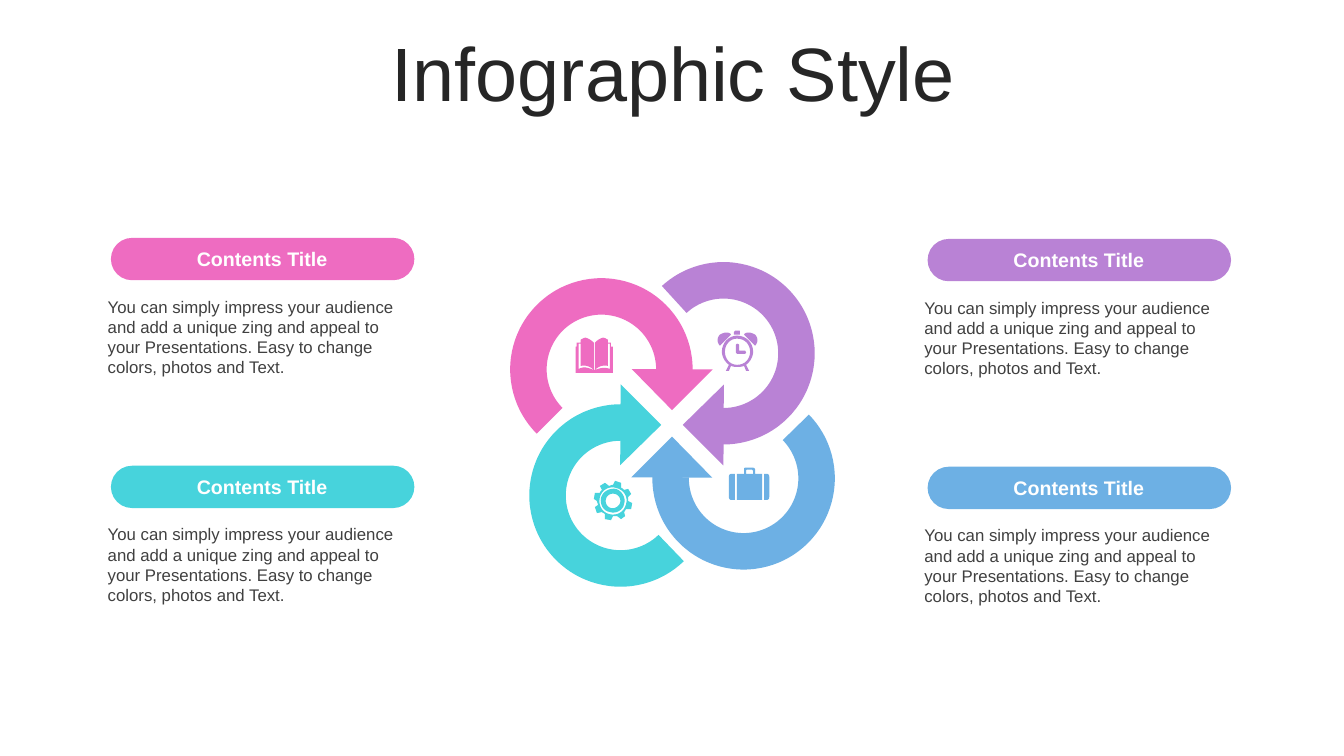
"""Build the four-arrow infographic slide."""
from pptx import Presentation
from pptx.dml.color import RGBColor
from pptx.enum import shapes, text
from pptx.util import Pt

PX = 9144
PINK = RGBColor(0xEE, 0x6C, 0xC1)
PURPLE = RGBColor(0xB9, 0x82, 0xD5)
BLUE = RGBColor(0x6D, 0xB0, 0xE4)
TEAL = RGBColor(0x47, 0xD3, 0xDC)
WHITE = RGBColor(0xFF, 0xFF, 0xFF)
DARK = RGBColor(0x26, 0x26, 0x26)
GREY = RGBColor(0x40, 0x40, 0x40)
FONT = "Arial"

TITLE = "Infographic Style"
LABEL = "Contents Title"
BODY = ("You can simply impress your audience and add a unique zing and appeal to "
        "your Presentations. Easy to change colors, photos and Text.")

CARDS = [(PURPLE, 920, 237), (BLUE, 920, 463), (PINK, 110, 236), (TEAL, 110, 462)]
PILL = (0, 0, 301, 42)
BODY_BOX = (-13, 53, 326, 91)
LABEL_BOX = (9, 4, 282, 34)

ARC_SIZE, HEAD_SIZE = 181, 57
ARROWS = [
    (PINK, (506, 276), (638, 338), 0, 81.13),
    (PURPLE, (627, 260), (689, 393), 90, 82.53),
    (BLUE, (647, 384), (638, 445), 180, 81.4),
    (TEAL, (525, 401), (587, 393), 270, 81.65),
]

CLOCK = (
    """M 731 341 C 732 341 733 342 733 342 L 733 348 L 739 348 C 739 348 740 349 740 350
    C 740 350 739 351 739 351 L 731 351 C 731 351 730 350 730 350 L 730 342
    C 730 342 731 341 731 341""",
    """M 731 336 C 724 336 719 342 719 349 C 719 356 724 362 731 362
    C 739 362 744 356 744 349 C 744 342 739 336 731 336""",
    """M 731 333 C 740 333 747 340 747 349 C 747 354 744 359 740 362 L 743 368 L 740 368
    L 738 363 C 736 364 734 364 731 364 C 729 364 727 364 725 363 L 723 368 L 720 368
    L 723 362 C 719 359 716 354 716 349 C 716 340 723 333 731 333""",
    """M 720 330 C 722 330 724 330 725 332 L 714 343 C 711 340 711 335 714 332
    C 716 331 718 330 720 330""",
    """M 743 330 C 745 330 747 331 749 332 C 752 335 752 340 749 343 L 738 332
    C 739 330 741 330 743 330""",
    """M 730 328 L 733 328 C 734 328 734 329 734 330 L 734 332 L 728 332 L 728 330
    C 728 329 729 328 730 328""",
)
SUITCASE = (
    """M 758 470 L 760 470 C 762 470 763 471 763 473 L 763 493 C 763 495 762 496 760 496
    L 758 496""",
    """M 726 470 L 729 470 L 729 496 L 726 496 C 724 496 723 495 723 493 L 723 473
    C 723 471 724 470 726 470""",
    """M 741 466 C 740 466 740 467 740 467 L 740 470 L 747 470 L 747 467
    C 747 467 746 466 746 466""",
    """M 739 464 L 747 464 C 748 464 749 465 749 466 L 749 470 L 756 470 L 756 496
    L 731 496 L 731 470 L 738 470 L 738 466 C 738 465 738 464 739 464""",
)
GEAR = (
    """M 610 490 C 606 489 602 491 601 495 C 600 499 602 503 606 504
    C 610 505 614 502 615 499 C 616 495 614 491 610 490""",
    """M 611 485 C 617 487 621 494 619 500 C 618 506 611 510 605 508
    C 598 507 595 500 596 494 C 598 487 605 484 611 485""",
    """M 611 484 C 604 482 597 486 595 493 C 593 501 597 508 604 510
    C 612 512 619 508 621 500 C 623 493 619 486 611 484""",
    """M 616 479 L 616 484 C 617 484 618 485 619 486 L 623 485 L 626 490 L 623 493
    C 623 494 623 496 623 497 L 627 499 L 626 505 L 621 505 C 620 506 620 507 619 508
    L 620 512 L 616 515 L 612 512 C 611 512 610 512 608 512 L 606 516 L 600 515
    L 600 510 C 599 509 598 509 597 508 L 592 509 L 590 503 L 593 501
    C 593 499 592 498 592 497 L 589 495 L 590 489 L 595 489 C 595 488 596 487 597 486
    L 595 482 L 600 479 L 604 482 C 605 482 606 481 608 481 L 610 477""",
)
BOOK = (
    """M 589 367 C 589 367 590 367 590 367 C 596 365 599 364 605 366 L 605 341 L 603 341
    C 603 349 603 356 603 363 C 599 362 594 363 590 367 L 590 340
    C 593 337 595 336 598 335 C 600 335 601 336 603 337 C 603 338 603 339 603 340
    L 606 340 L 606 344 L 608 344 L 608 370 L 571 370 L 571 344 L 572 344 L 572 340
    L 576 340 C 576 339 576 338 576 337 C 578 336 579 335 581 335
    C 584 336 586 337 589 340 L 589 367 C 585 363 580 362 576 363 L 576 341 L 574 341
    L 574 366 C 580 363 583 365 589 367""",
)
ICONS = [(PURPLE, CLOCK), (BLUE, SUITCASE), (TEAL, GEAR), (PINK, BOOK)]


def emu(*lengths):
    return [n * PX for n in lengths]


def paint(sp, color):
    sp.shadow.inherit = False
    sp.fill.solid()
    sp.fill.fore_color.rgb = color
    sp.line.fill.background()


def add_part(parent, preset, box, color, adjustments=(), rotation=0):
    sp = parent.add_shape(preset, *emu(*box))
    for i, value in enumerate(adjustments):
        sp.adjustments[i] = value
    sp.rotation = rotation
    paint(sp, color)


def write(tf, words, size, color, align, bold=False):
    tf.word_wrap = True
    p = tf.paragraphs[0]
    p.alignment = align
    p.space_before = Pt(0)
    r = p.add_run()
    r.text = words
    r.font.name, r.font.size, r.font.bold = FONT, Pt(size), bold
    r.font.color.rgb = color
    return p


def add_label(parent, box, *style):
    tf = parent.add_textbox(*emu(*box)).text_frame
    tf.auto_size = text.MSO_AUTO_SIZE.SHAPE_TO_FIT_TEXT
    write(tf, *style)


def bezier(points, steps=8):
    for k in range(1, steps + 1):
        t = k / steps
        weights = ((1 - t) ** 3, 3 * t * (1 - t) ** 2, 3 * t * t * (1 - t), t ** 3)
        yield tuple(sum(w * pt[axis] for w, pt in zip(weights, points)) for axis in (0, 1))


def trace(contour):
    points = []
    for step in contour.replace("M", "|").replace("L", "|").replace("C", "|").split("|")[1:]:
        n = emu(*map(int, step.split()))
        pairs = list(zip(n[::2], n[1::2]))
        points += bezier([points[-1], *pairs]) if len(pairs) == 3 else pairs
    return points


def add_icon(parent, color, outline):
    first, *rest = map(trace, outline)
    builder = parent.build_freeform(*first[0])
    builder.add_line_segments(first[1:], close=True)
    for points in rest:
        builder.move_to(*points[0])
        builder.add_line_segments(points[1:], close=True)
    paint(builder.convert_to_shape(), color)


def main():
    prs = Presentation()
    prs.slide_width, prs.slide_height = emu(1333, 750)
    s = prs.slides.add_slide(prs.slide_layouts[5])
    preset, align = shapes.MSO_SHAPE, text.PP_ALIGN

    title = s.shapes.title
    title.left, title.top, title.width, title.height = emu(35, 37, 1266, 79)
    title.text_frame.auto_size = text.MSO_AUTO_SIZE.NONE
    title.text_frame.vertical_anchor = text.MSO_ANCHOR.MIDDLE
    write(title.text_frame, TITLE, 54, DARK, align.CENTER).line_spacing = 0.9

    ring = s.shapes.add_group_shape().shapes
    for color, arc, head, turn, start in ARROWS:
        add_part(ring, preset.BLOCK_ARC, (*arc, ARC_SIZE, ARC_SIZE), color,
                 (start, 0.61, 0.2), turn)
        add_part(ring, preset.ISOSCELES_TRIANGLE, (*head, HEAD_SIZE, HEAD_SIZE), color,
                 (0.01,), (turn - 45) % 360)
    for color, outline in ICONS:
        add_icon(s.shapes, color, outline)

    for color, x, y in CARDS:
        card = s.shapes.add_group_shape().shapes
        pill, body, label = ((x + dx, y + dy, w, h)
                             for dx, dy, w, h in (PILL, BODY_BOX, LABEL_BOX))
        add_part(card, preset.ROUNDED_RECTANGLE, pill, color, (0.5,))
        add_label(card, body, BODY, 12, GREY, align.LEFT)
        add_label(card, label, LABEL, 14, WHITE, align.CENTER, True)
    prs.save("out.pptx")


if __name__ == "__main__":
    main()
